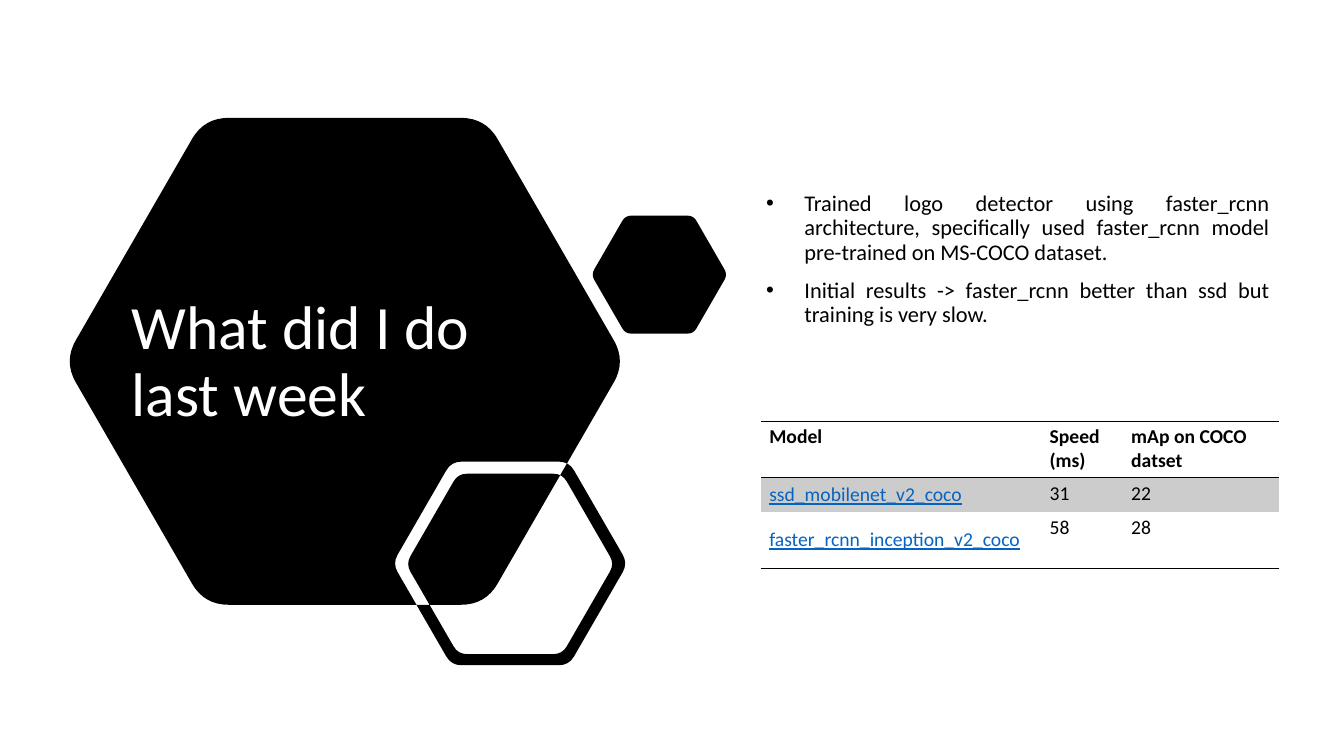
import math

from lxml import etree
from pptx import Presentation
from pptx.dml.color import RGBColor
from pptx.enum.text import MSO_ANCHOR, PP_ALIGN
from pptx.oxml.ns import qn
from pptx.util import Inches, Pt

TOP, MIDDLE, BOTTOM = MSO_ANCHOR.TOP, MSO_ANCHOR.MIDDLE, MSO_ANCHOR.BOTTOM
LEFT, JUSTIFY = PP_ALIGN.LEFT, PP_ALIGN.JUSTIFY
FONT = "Calibri"
BLACK, WHITE, GREY, LINK_BLUE = "000000", "FFFFFF", "CCCCCC", "0563C1"
PLAIN_TABLE_STYLE = "{2D5ABB26-0587-4C30-8999-92F81FD0307C}"

# Centre x, top, bottom; overlaps cancel out
HEXAGONS = [
    (3.42, 1.17, 6.0),  # large
    (6.54, 2.14, 3.31),  # small
    (5.06, 4.58, 6.6),  # ring, outer edge
    (5.06, 4.7, 6.49),  # ring, inner edge
]
BULLETS = [
    "Trained logo detector using faster_rcnn architecture, specifically used "
    "faster_rcnn model pre-trained on MS-COCO dataset.",
    "Initial results -> faster_rcnn better than ssd but training is very slow.",
]
MODEL_ROWS = [
    ("Model", "Speed (ms)", "mAp on COCO datset"),
    ("ssd_mobilenet_v2_coco", "31", "22"),
    ("faster_rcnn_inception_v2_coco", "58", "28"),
]
COLUMN_WIDTHS = [2.78, 0.81, 1.55]
ROW_HEIGHTS = [0.56, 0.34, 0.56]


def color(value):
    return RGBColor.from_string(value)


def apply_format(target, values):
    for name, value in values.items():
        setattr(target, name, value)


def write_paragraph(paragraph, text, size, text_color, paragraph_format=None, **font_format):
    run = paragraph.add_run()
    run.text = text
    apply_format(run.font, {"name": FONT, "size": Pt(size), **font_format})
    run.font.color.rgb = color(text_color)
    apply_format(paragraph, paragraph_format or {})


def add_text_frame(slide, left, top, width, height, anchor):
    box = slide.shapes.add_textbox(Inches(left), Inches(top), Inches(width), Inches(height))
    apply_format(box.text_frame, {"word_wrap": True, "vertical_anchor": anchor})
    return box.text_frame


def add_bullet(paragraph):
    properties = paragraph._p.get_or_add_pPr()
    properties.set("marL", str(Inches(0.38)))
    properties.set("indent", str(-Inches(0.38)))
    etree.SubElement(properties, qn("a:buFont"), typeface="Arial")
    etree.SubElement(properties, qn("a:buChar"), char="•")


def hexagon_points(center_x, top, bottom):
    """Start, middle and end of each curved corner of a regular hexagon."""
    center_y, half_height = (top + bottom) / 2, (bottom - top) / 2
    side = half_height * 2 / math.sqrt(3)
    cut = 0.1 * half_height / side
    corners = [
        (center_x + side * math.cos(k * math.pi / 3), center_y + side * math.sin(k * math.pi / 3))
        for k in range(6)
    ]
    points = []
    for index, corner in enumerate(corners):
        start, end = (
            [c + cut * (n - c) for c, n in zip(corner, neighbour)]
            for neighbour in (corners[index - 1], corners[(index + 1) % 6])
        )
        middle = [(s + 2 * c + e) / 4 for s, c, e in zip(start, corner, end)]
        points += [[Inches(value) for value in point] for point in (start, middle, end)]
    return points


def curve_corners(shape):
    """Turn each start, middle, end triple into one Bézier curve."""
    points = list(shape._element.iter(qn("a:pt")))
    for start, middle, end in zip(points[::3], points[1::3], points[2::3]):
        curve = end.getparent()
        curve.tag = qn("a:cubicBezTo")
        for position, anchor in enumerate((start, end)):
            control = etree.Element(qn("a:pt"))
            for axis in "xy":
                s, m, e, a = (int(point.get(axis)) for point in (start, middle, end, anchor))
                corner = 2 * m - (s + e) / 2
                control.set(axis, str(round((a + 2 * corner) / 3)))
            curve.insert(position, control)
        line = middle.getparent()
        line.getparent().remove(line)


def add_hexagons(slide):
    outlines = [hexagon_points(*hexagon) for hexagon in HEXAGONS]
    builder = slide.shapes.build_freeform(*outlines[0][0])
    for index, outline in enumerate(outlines):
        if index:
            builder.move_to(*outline[0])
        builder.add_line_segments(outline[1:], close=True)
    shape = builder.convert_to_shape()
    curve_corners(shape)
    shape.shadow.inherit = False
    shape.fill.solid()
    shape.fill.fore_color.rgb = color(BLACK)
    shape.line.fill.background()


def add_border(cell, side):
    line = etree.SubElement(cell._tc.get_or_add_tcPr(), qn(f"a:ln{side}"), w=str(Pt(1)))
    fill = etree.SubElement(line, qn("a:solidFill"))
    etree.SubElement(fill, qn("a:srgbClr"), val=BLACK)


def add_model_table(slide, left, top):
    frame = slide.shapes.add_table(
        len(ROW_HEIGHTS), len(COLUMN_WIDTHS), Inches(left), Inches(top),
        Inches(sum(COLUMN_WIDTHS)), Inches(sum(ROW_HEIGHTS)))
    table = frame.table
    table._tbl.tblPr.find(qn("a:tableStyleId")).text = PLAIN_TABLE_STYLE
    for column, width in zip(table.columns, COLUMN_WIDTHS):
        column.width = Inches(width)
    for row_index, (row, height) in enumerate(zip(table.rows, ROW_HEIGHTS)):
        row.height = Inches(height)
        is_header = row_index == 0
        for column_index, cell in enumerate(row.cells):
            is_link = column_index == 0 and not is_header
            apply_format(cell, {
                "margin_left": Inches(0.08), "margin_right": Inches(0.08),
                "margin_top": Inches(0.04), "margin_bottom": Inches(0.04),
                "vertical_anchor": MIDDLE if is_link else TOP,
            })
            for side in ("TB", "", "B")[row_index]:
                add_border(cell, side)
            if row_index == 1:
                cell.fill.solid()
                cell.fill.fore_color.rgb = color(GREY)
            else:
                cell.fill.background()
            write_paragraph(
                cell.text_frame.paragraphs[0], MODEL_ROWS[row_index][column_index], 14,
                LINK_BLUE if is_link else BLACK, bold=is_header, underline=is_link)


def main():
    presentation = Presentation()
    presentation.slide_width = Inches(13.33)
    presentation.slide_height = Inches(7.5)
    slide = presentation.slides.add_slide(presentation.slide_layouts[6])

    # Hexagons and title
    add_hexagons(slide)
    title = add_text_frame(slide, 1.21, 2.35, 3.77, 1.96, BOTTOM)
    write_paragraph(title.paragraphs[0], "What did I do last week", 44, WHITE,
                    {"line_spacing": 0.9, "alignment": LEFT})

    # Bullet points
    body = add_text_frame(slide, 7.5, 1.86, 5.19, 2.06, TOP)
    for index, text in enumerate(BULLETS):
        paragraph = body.add_paragraph() if index else body.paragraphs[0]
        write_paragraph(paragraph, text, 16, BLACK, {
            "alignment": JUSTIFY, "line_spacing": 0.9, "space_before": Pt(10)})
        add_bullet(paragraph)

    # Model comparison
    add_model_table(slide, 7.55, 4.18)
    presentation.save("out.pptx")


if __name__ == "__main__":
    main()
